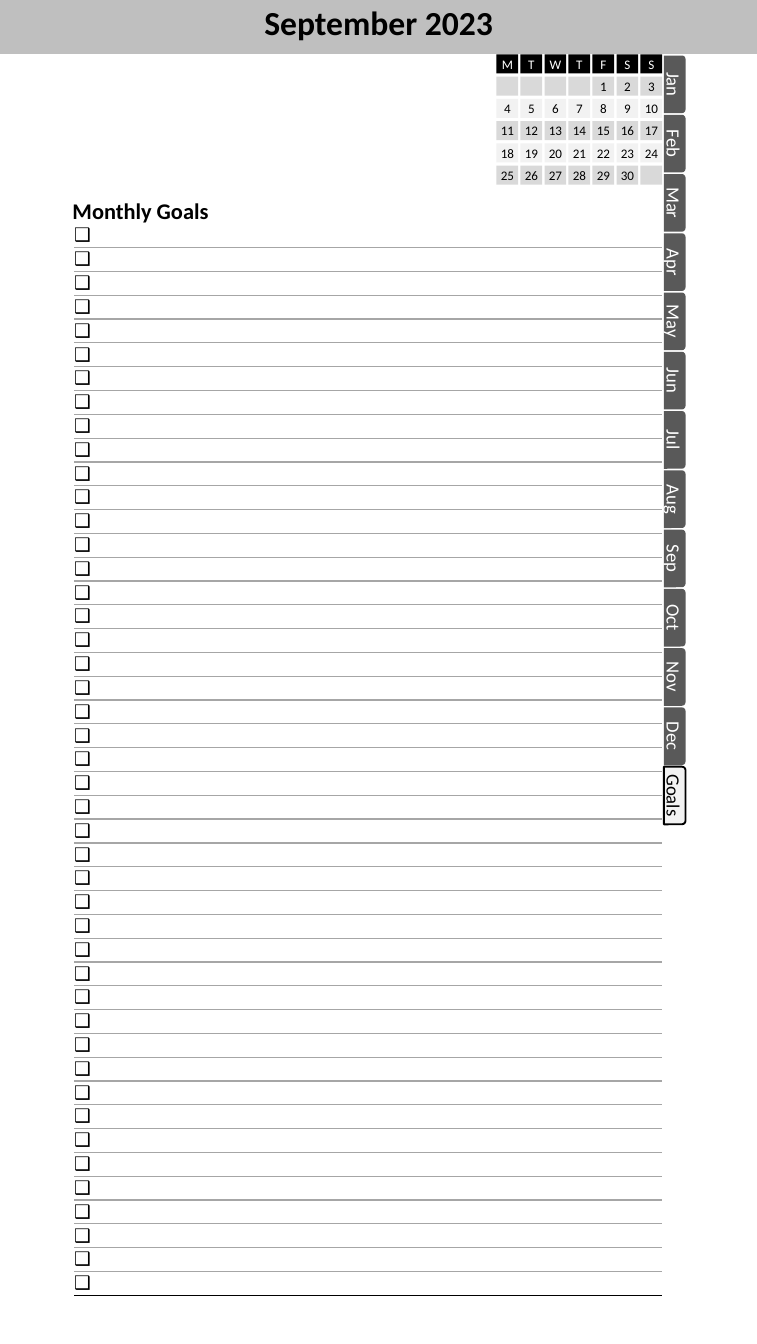
import pptx
import pptx.util
import pptx.oxml
import pptx.oxml.ns
import pptx.dml.color
import pptx.enum.shapes
import pptx.enum.text

Cm = pptx.util.Cm
Pt = pptx.util.Pt
RGBColor = pptx.dml.color.RGBColor
Kind = pptx.enum.shapes.MSO_SHAPE
Align = pptx.enum.text.PP_ALIGN
Anchor = pptx.enum.text.MSO_ANCHOR

BLACK = RGBColor(0, 0, 0)
WHITE = RGBColor(0xFF, 0xFF, 0xFF)
BAND = RGBColor(0xBF, 0xBF, 0xBF)
DARK = RGBColor(0x59, 0x59, 0x59)
RULE = RGBColor(0xA6, 0xA6, 0xA6)
GREY = RGBColor(0xD9, 0xD9, 0xD9)
PALE = RGBColor(0xF2, 0xF2, 0xF2)

FONT = "Calibri"
PLAIN = "{2D5ABB26-0587-4C30-8999-92F81FD0307C}"
TABS = ["Jan", "Feb", "Mar", "Apr", "May", "Jun", "Jul",
        "Aug", "Sep", "Oct", "Nov", "Dec", "Goals"]
GOALS = 45
DAYS = 30
START = 4


def write(frame, text, size, color, bold=False, align=Align.CENTER):
    frame.text = text
    line = frame.paragraphs[0]
    line.alignment = align
    for run in line.runs:
        run.font.name = FONT
        run.font.size = Pt(size)
        run.font.bold = bold
        run.font.color.rgb = color
    return line


def add_box(shapes, kind, left, top, width, height, fill):
    box = shapes.add_shape(kind, Cm(left), Cm(top), Cm(width), Cm(height))
    box.shadow.inherit = False
    box.fill.solid()
    box.fill.fore_color.rgb = fill
    box.line.fill.background()
    return box


def add_label(box, text, size, color):
    frame = box.text_frame
    frame.margin_left = frame.margin_right = 0
    frame.margin_top = frame.margin_bottom = 0
    frame.vertical_anchor = Anchor.MIDDLE
    write(frame, text, size, color)


def add_title(shapes):
    add_box(shapes, Kind.RECTANGLE, 0, 0, 14.3, 1.02, BAND)
    title = shapes.add_textbox(Cm(3.23), 0, Cm(7.85), Cm(1.02))
    title.text_frame.word_wrap = True
    line = write(title.text_frame, "September 2023", 18, BLACK, True)
    line.line_spacing = 0.9
    line.space_before = Pt(5.6)


def add_bullet(line):
    props = line._p.get_or_add_pPr()
    props.set("marL", str(Cm(0.45)))
    props.set("indent", str(-Cm(0.45)))
    space = pptx.oxml.ns.nsdecls("a")
    props.append(pptx.oxml.parse_xml(f'<a:buFont {space} typeface="{FONT}"/>'))
    props.append(pptx.oxml.parse_xml(f'<a:buChar {space} char="❑"/>'))


def add_rule(cell, color, width):
    space = pptx.oxml.ns.nsdecls("a")
    rule = pptx.oxml.parse_xml(
        f'<a:lnB {space} w="{Pt(width)}"><a:solidFill>'
        f'<a:srgbClr val="{color}"/></a:solidFill></a:lnB>')
    cell._tc.get_or_add_tcPr().insert(0, rule)


def add_goals(shapes):
    head = shapes.add_textbox(Cm(1.12), Cm(3.61), Cm(3.12), Cm(0.76))
    head.text_frame.word_wrap = False
    write(head.text_frame, "Monthly Goals", 12, BLACK, True, Align.LEFT)

    step = 0.45
    table = shapes.add_table(GOALS, 1, Cm(1.4), Cm(4.23),
                             Cm(11.1), Cm(GOALS * step)).table
    table.first_row = table.horz_banding = False
    table._tbl.tblPr.find(pptx.oxml.ns.qn("a:tableStyleId")).text = PLAIN
    for index, row in enumerate(table.rows):
        row.height = Cm(step)
        cell = row.cells[0]
        cell.margin_left = cell.margin_right = 0
        cell.margin_top = cell.margin_bottom = 0
        cell.vertical_anchor = Anchor.MIDDLE
        cell.fill.background()
        add_bullet(write(cell.text_frame, " ", 10, BLACK, align=Align.LEFT))
        last = index == GOALS - 1
        add_rule(cell, BLACK if last else RULE, 1 if last else 0.75)


def add_tabs(shapes):
    for index, name in enumerate(TABS):
        live = name == "Goals"
        tab = add_box(shapes, Kind.ROUND_2_SAME_RECTANGLE, 12.2,
                      1.39 + index * 1.12, 1.09, 0.41, PALE if live else DARK)
        tab.rotation = 90
        if live:
            tab.line.color.rgb = BLACK
            tab.line.width = Pt(1)
        add_label(tab, name, 10, BLACK if live else WHITE)


def add_month(shapes):
    group = shapes.add_group_shape().shapes
    dates = [str(day) if 1 <= day <= DAYS else ""
             for day in range(1 - START, 36 - START)]
    for index, text in enumerate(list("MTWTFSS") + dates):
        row, col = divmod(index, 7)
        fill = BLACK if row == 0 else GREY if row % 2 else PALE
        box = add_box(group, Kind.RECTANGLE, 9.38 + col * 2.72 / 6,
                      1.03 + row * 0.42, 0.41, 0.36, fill)
        if text:
            add_label(box, text, 7, BLACK if row else WHITE)


def main():
    deck = pptx.Presentation()
    deck.slide_width = Cm(14.3)
    deck.slide_height = Cm(25.4)
    shapes = deck.slides.add_slide(deck.slide_layouts[6]).shapes
    add_title(shapes)
    add_goals(shapes)
    add_tabs(shapes)
    add_month(shapes)
    deck.save("out.pptx")


if __name__ == "__main__":
    main()
